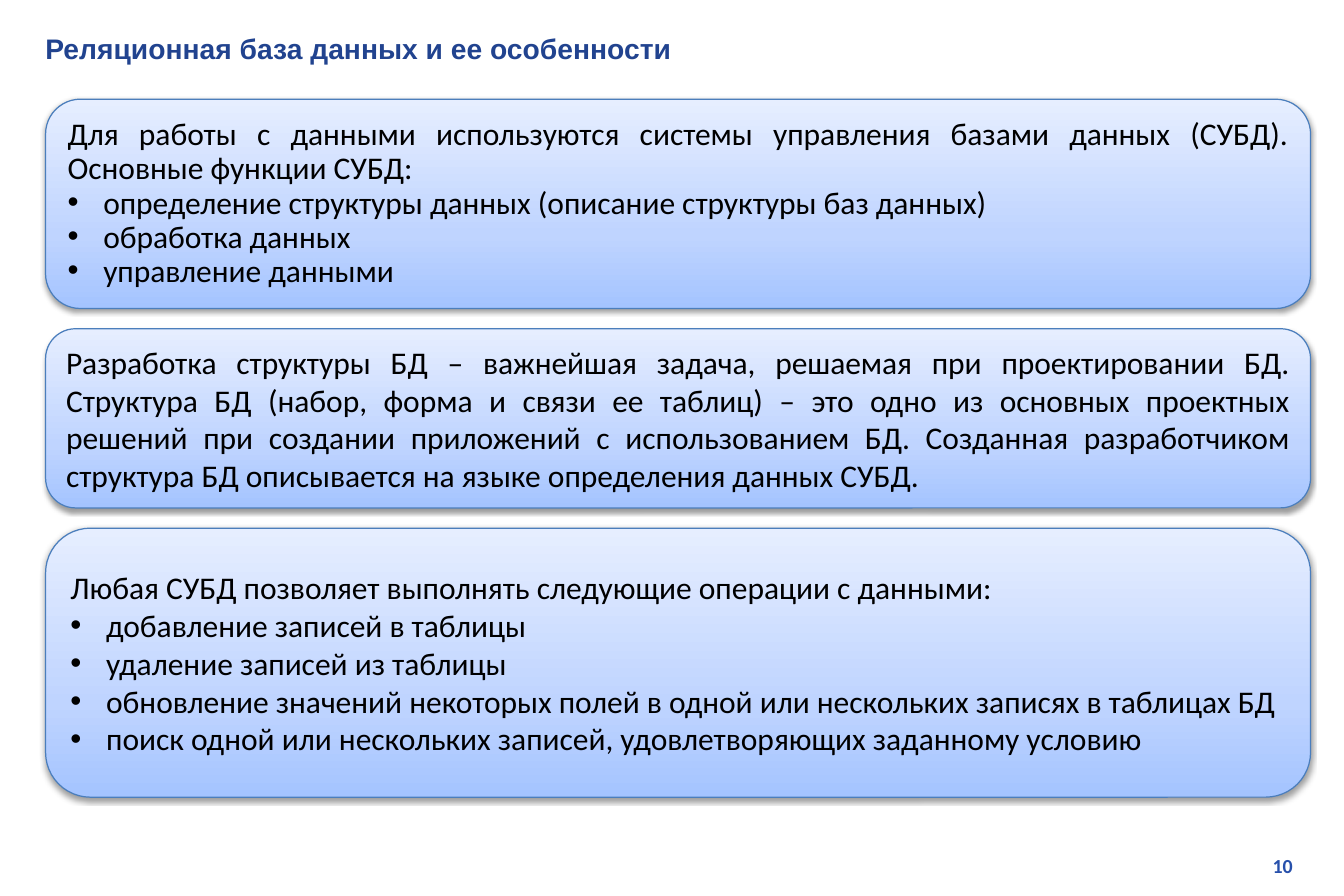
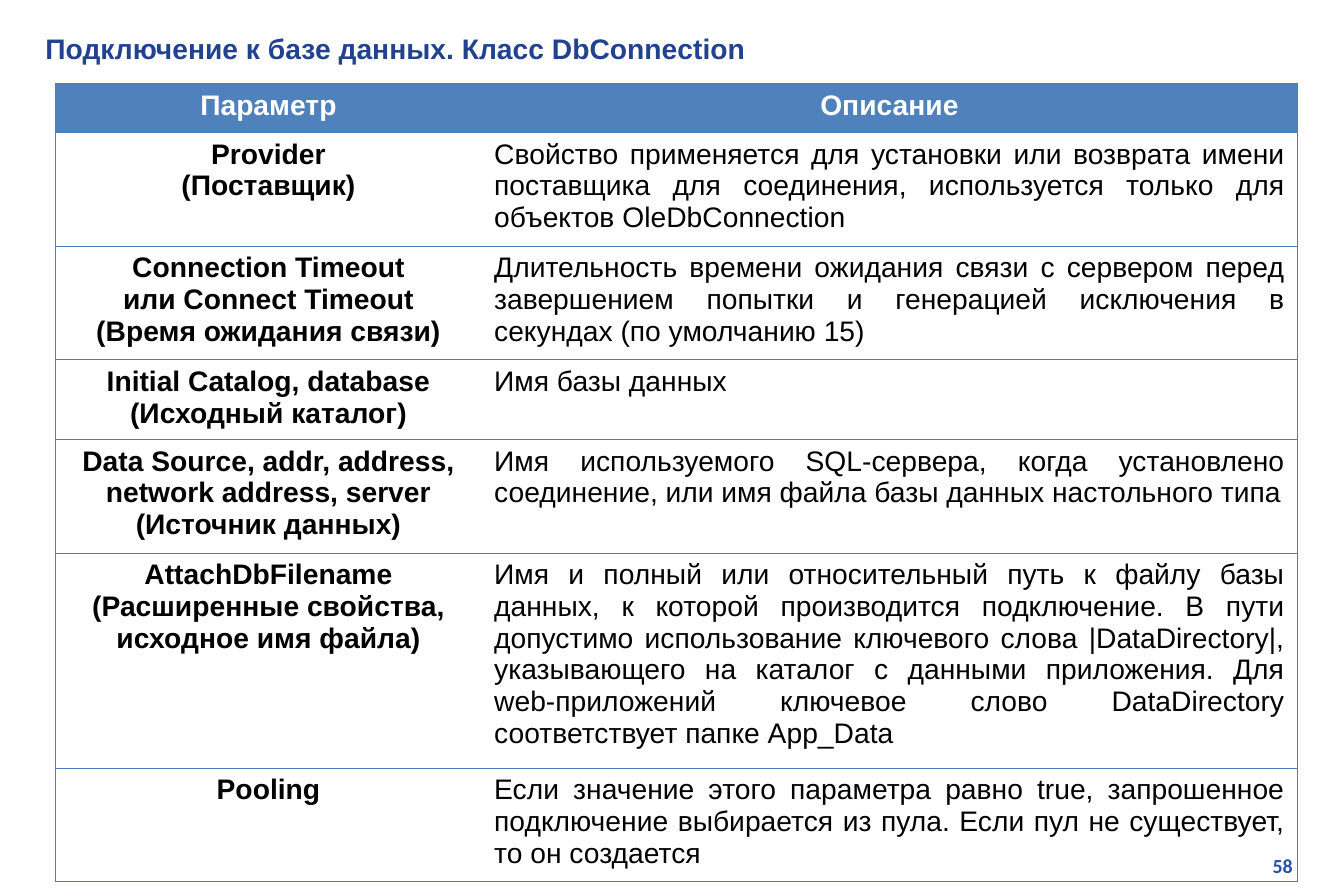
from dataclasses import dataclass

from pptx import Presentation
from pptx.dml.color import RGBColor
from pptx.enum.shapes import MSO_SHAPE as Shape
from pptx.enum.text import MSO_ANCHOR as Anchor, MSO_AUTO_SIZE as AutoSize, PP_ALIGN as Align
from pptx.oxml import parse_xml
from pptx.oxml.ns import nsdecls, qn
from pptx.util import Cm, Pt


@dataclass(frozen=True)
class Theme:
    title: str = "21438F"
    number: str = "2750AB"
    text: str = "000000"
    header_text: str = "FFFFFF"
    header_fill: str = "4F81BD"
    line: str = "4B7EBC"
    gradient: tuple = ((0, "A4C4FF"), (35, "BFD4FF"), (100, "E6EEFF"))
    heading_font: str = "Arial"
    body_font: str = "Calibri"
    title_size: int = 17
    panel_size: int = 19
    table_size: int = 17
    number_size: int = 12
    line_width: float = 0.75


theme = Theme()


def add_run(paragraph, text, font, size, color, bold=False):
    run = paragraph.add_run()
    run.text = text
    run.font.name = font
    run.font.size = Pt(size)
    run.font.bold = bold
    run.font.color.rgb = RGBColor.from_string(color)


def add_page(title_text, number_text):
    page = deck.slides.add_slide(deck.slide_layouts[5])

    # Title
    title = page.shapes.title
    title.left, title.top, title.width, title.height = Cm(0.71), Cm(0.51), Cm(27.28), Cm(1.02)
    title.text_frame.auto_size = AutoSize.NONE
    title.text_frame.vertical_anchor = Anchor.MIDDLE
    heading = title.text_frame.paragraphs[0]
    heading.alignment = Align.LEFT
    add_run(heading, title_text, theme.heading_font, theme.title_size, theme.title, True)

    # Page number
    number = page.shapes.add_textbox(Cm(21.69), Cm(18.03), Cm(6.05), Cm(0.76))
    number.text_frame.word_wrap = True
    number_line = number.text_frame.paragraphs[0]
    number_line.alignment = Align.RIGHT
    add_run(number_line, number_text, theme.body_font, theme.number_size, theme.number, True)
    return page


deck = Presentation()
deck.slide_width, deck.slide_height = Cm(28.58), Cm(19.05)

# Slide 1: gradient panels stacked with equal gaps
features = add_page("Реляционная база данных и ее особенности", "10")

# Height in cm, line spacing, lead text, bullets
panels = [
    (4.45, 0.9,
     "Для работы с данными используются системы управления базами данных (СУБД). "
     "Основные функции СУБД:",
     ["определение структуры данных (описание структуры баз данных)",
      "обработка данных",
      "управление данными"]),
    (3.81, 1.0,
     "Разработка структуры БД – важнейшая задача, решаемая при проектировании БД. "
     "Структура БД (набор, форма и связи ее таблиц) – это одно из основных проектных "
     "решений при создании приложений с использованием БД. Созданная разработчиком "
     "структура БД описывается на языке определения данных СУБД.",
     []),
    (5.72, 1.0,
     "Любая СУБД позволяет выполнять следующие операции с данными:",
     ["добавление записей в таблицы",
      "удаление записей из таблицы",
      "обновление значений некоторых полей в одной или нескольких записях в таблицах БД",
      "поиск одной или нескольких записей, удовлетворяющих заданному условию"]),
]
panel_top, panel_gap = 2.11, 0.43
bullet_indent = Cm(0.76)
stops = "".join(
    f'<a:gs pos="{position * 1000}"><a:srgbClr val="{color}"/></a:gs>'
    for position, color in theme.gradient
)

for height, spacing, lead, bullets in panels:
    panel = features.shapes.add_shape(
        Shape.ROUNDED_RECTANGLE, Cm(0.97), Cm(panel_top), Cm(26.9), Cm(height))
    panel_top += height + panel_gap

    # Fill, outline and soft shadow
    panel.fill.gradient()
    properties = panel.element.spPr
    properties.replace(properties.find(qn("a:gradFill")), parse_xml(
        f'<a:gradFill {nsdecls("a")} rotWithShape="1"><a:gsLst>{stops}</a:gsLst>'
        '<a:lin ang="16200000" scaled="0"/></a:gradFill>'))
    panel.line.color.rgb = RGBColor.from_string(theme.line)
    panel.line.width = Pt(theme.line_width)
    panel.shadow.inherit = False
    properties.find(qn("a:effectLst")).append(parse_xml(
        f'<a:outerShdw {nsdecls("a")} blurRad="40000" dist="20000" dir="5400000" '
        'rotWithShape="0"><a:srgbClr val="000000"><a:alpha val="38000"/></a:srgbClr>'
        '</a:outerShdw>'))

    # Lead text followed by bullets
    content = panel.text_frame
    content.word_wrap = True
    content.vertical_anchor = Anchor.MIDDLE
    for index, text in enumerate([lead, *bullets]):
        paragraph = content.add_paragraph() if index else content.paragraphs[0]
        if index:
            settings = paragraph._p.get_or_add_pPr()
            settings.set("marL", str(bullet_indent))
            settings.set("indent", str(-bullet_indent))
            settings.append(parse_xml(f'<a:buFont {nsdecls("a")} typeface="Arial"/>'))
            settings.append(parse_xml(f'<a:buChar {nsdecls("a")} char="•"/>'))
        paragraph.alignment = Align.JUSTIFY
        paragraph.line_spacing = spacing
        add_run(paragraph, text, theme.body_font, theme.panel_size, theme.text)

# Slide 2: table of connection parameters
connection = add_page("Подключение к базе данных. Класс DbConnection", "58")

# Height in cm, parameter lines, description
parameters = [
    (1.04, ["Параметр"], "Описание"),
    (2.39, ["Provider", "(Поставщик)"],
     "Свойство применяется для установки или возврата имени поставщика для соединения, "
     "используется только для объектов OleDbConnection"),
    (2.39, ["Connection Timeout", "или Connect Timeout", "(Время ожидания связи)"],
     "Длительность времени ожидания связи с сервером перед завершением попытки "
     "и генерацией исключения в секундах (по умолчанию 15)"),
    (1.68, ["Initial Catalog, database", "(Исходный каталог)"],
     "Имя базы данных"),
    (2.39, ["Data Source, addr, address, network address, server", "(Источник данных)"],
     "Имя используемого SQL-сервера, когда установлено соединение, "
     "или имя файла базы данных настольного типа"),
    (4.55, ["AttachDbFilename", "(Расширенные свойства,", "исходное имя файла)"],
     "Имя и полный или относительный путь к файлу базы данных, к которой производится "
     "подключение. В пути допустимо использование ключевого слова |DataDirectory|, "
     "указывающего на каталог с данными приложения. Для web-приложений ключевое слово "
     "DataDirectory соответствует папке App_Data"),
    (2.39, ["Pooling"],
     "Если значение этого параметра равно true, запрошенное подключение выбирается "
     "из пула. Если пул не существует, то он создается"),
]
column_widths = [9.04, 17.37]
table = connection.shapes.add_table(
    len(parameters), len(column_widths), Cm(1.19), Cm(1.78),
    Cm(sum(column_widths)), Cm(sum(row[0] for row in parameters))).table
table.horz_banding = False
for column, width in zip(table.columns, column_widths):
    column.width = Cm(width)

for row_index, (height, names, description) in enumerate(parameters):
    table.rows[row_index].height = Cm(height)
    is_header = row_index == 0
    for column_index, lines in enumerate([names, [description]]):
        cell = table.cell(row_index, column_index)
        cell.margin_left = cell.margin_right = Cm(0.28)
        is_name = column_index == 0

        # Rules around the table and between rows, none between columns
        visible = {"lnL": is_name, "lnR": not is_name, "lnT": True, "lnB": True}
        cell_properties = cell._tc.get_or_add_tcPr()
        for edge, shown in visible.items():
            paint = (f'<a:solidFill><a:srgbClr val="{theme.line}"/></a:solidFill>'
                     if shown else "<a:noFill/>")
            cell_properties.append(parse_xml(
                f'<a:{edge} {nsdecls("a")} w="{Pt(theme.line_width)}">{paint}</a:{edge}>'))

        if is_header:
            cell.fill.solid()
            cell.fill.fore_color.rgb = RGBColor.from_string(theme.header_fill)
        else:
            cell.fill.background()

        for index, text in enumerate(lines):
            paragraph = cell.text_frame.add_paragraph() if index else cell.text_frame.paragraphs[0]
            paragraph.alignment = Align.CENTER if is_header or is_name else Align.JUSTIFY
            add_run(paragraph, text, theme.heading_font, theme.table_size,
                    theme.header_text if is_header else theme.text, is_header or is_name)

deck.save("out.pptx")
